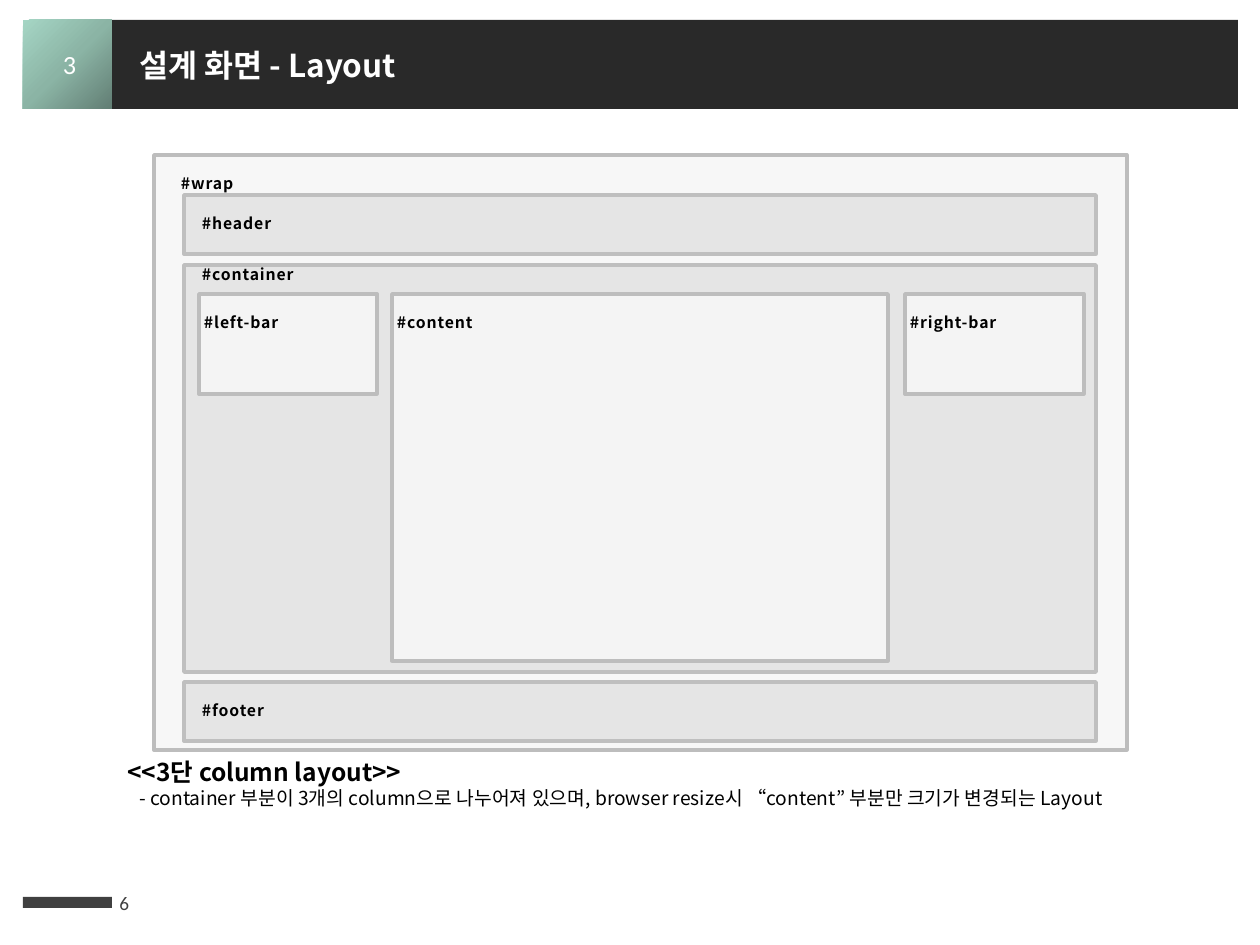
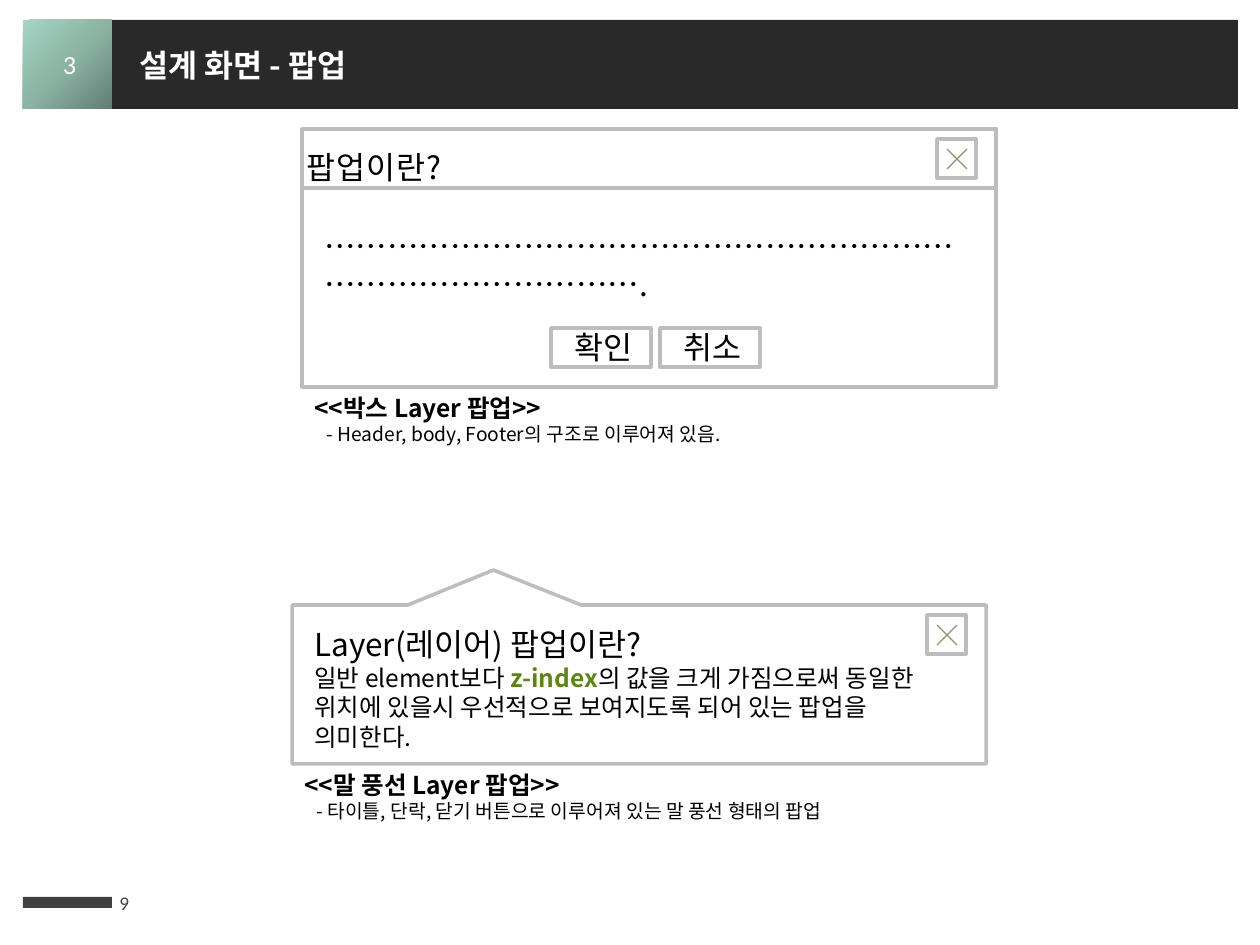
from dataclasses import dataclass

from lxml.etree import SubElement
from pptx import Presentation
from pptx.dml.color import RGBColor
from pptx.enum.shapes import MSO_CONNECTOR, MSO_SHAPE
from pptx.enum.text import MSO_ANCHOR, PP_ALIGN
from pptx.oxml import parse_xml
from pptx.oxml.ns import nsdecls, qn
from pptx.util import Emu, Pt

PX = 914400 / 126


@dataclass(frozen=True)
class Theme:
    white: str = "FFFFFF"
    black: str = "000000"
    band: str = "292929"
    dark: str = "404040"
    wrap: str = "F7F7F7"
    panel: str = "E5E5E5"
    border: str = "BDBDBD"
    panel_border: str = "BFBFBF"
    cross: str = "988E74"
    accent: str = "5A870F"
    badge: tuple = ((0, "627E74"), (50, "8BB4A5"), (100, "A5D5C4"))
    korean: str = "Noto Sans CJK KR"
    latin: str = "Calibri"
    title: int = 18
    section: int = 15
    heading: int = 14
    note: int = 11
    label: int = 9


theme = Theme()


def add_box(slide, rect, fill=None, border=None, opacity=None, preset=MSO_SHAPE.RECTANGLE):
    """Add a preset shape, or a text box when there is no fill."""
    place = [Emu(round(value * PX)) for value in rect]
    if fill is None:
        return slide.shapes.add_textbox(*place)
    box = slide.shapes.add_shape(preset, *place)
    box.shadow.inherit = False
    box.fill.solid()
    box.fill.fore_color.rgb = RGBColor.from_string(fill)
    if opacity:
        colour = box._element.spPr.find(qn("a:solidFill"))[0]
        SubElement(colour, qn("a:alpha"), val=str(opacity * 1000))
    if border:
        box.line.color.rgb = RGBColor.from_string(border)
        box.line.width = Pt(2)
    else:
        box.line.fill.background()
    return box


def write(box, paragraphs, margins=None, anchor=MSO_ANCHOR.TOP, align=PP_ALIGN.LEFT,
          line_spacing=None, tracking=0, indent=0):
    """Fill a box; indent applies to every paragraph after the first."""
    frame = box.text_frame
    frame_format = {"word_wrap": True, "vertical_anchor": anchor}
    if margins:
        sides = ("margin_left", "margin_top", "margin_right", "margin_bottom")
        frame_format.update(zip(sides, (Emu(round(value * PX)) for value in margins)))
    for name, value in frame_format.items():
        setattr(frame, name, value)
    for index, runs in enumerate(paragraphs):
        paragraph = frame.add_paragraph() if index else frame.paragraphs[0]
        for name, value in {"alignment": align, "line_spacing": line_spacing}.items():
            setattr(paragraph, name, value)
        if index and indent:
            paragraph._p.get_or_add_pPr().set("marL", str(round(indent * PX)))
        for text, size, *style in runs:
            bold, colour, typeface = style + [False, theme.black, theme.korean][len(style):]
            run = paragraph.add_run()
            run.text = text
            font_format = {"size": Pt(size), "bold": bold, "name": typeface}
            for name, value in font_format.items():
                setattr(run.font, name, value)
            run.font.color.rgb = RGBColor.from_string(colour)
            properties = run._r.get_or_add_rPr()
            SubElement(properties, qn("a:ea"), typeface=typeface)
            if tracking:
                properties.set("spc", str(tracking))


presentation = Presentation()
presentation.slide_width = Emu(round(1260 * PX))
presentation.slide_height = Emu(round(945 * PX))

# Shared bands, section badge, titles and page numbers
pages = []
for title, number in (("설계 화면 - Layout", "6"), ("설계 화면 - 팝업", "9")):
    page = presentation.slides.add_slide(presentation.slide_layouts[6])
    pages.append(page)
    add_box(page, (112, 20, 1126, 89), theme.band)
    badge = add_box(page, (23, 20, 89, 89), theme.white)
    stops = "".join(f'<a:gs pos="{position * 1000}"><a:srgbClr val="{colour}"/></a:gs>'
                    for position, colour in theme.badge)
    badge_properties = badge._element.spPr
    badge_properties.replace(badge_properties.find(qn("a:solidFill")), parse_xml(
        f'<a:gradFill {nsdecls("a")} rotWithShape="1"><a:gsLst>{stops}</a:gsLst>'
        '<a:path path="circle"><a:fillToRect l="100000" t="100000"/></a:path></a:gradFill>'))
    add_box(page, (23, 897, 89, 11), theme.dark)
    write(add_box(page, (107, 878, 74, 50)),
          [[(number, theme.note, False, theme.dark, theme.latin)]], anchor=MSO_ANCHOR.MIDDLE)
    write(add_box(page, (127, 40, 881, 50)), [[(title, theme.title, True, theme.white)]])
    write(add_box(page, (35, 42, 69, 44)),
          [[("3", theme.section, False, theme.white, theme.latin)]], align=PP_ALIGN.CENTER)

layout_page, popup_page = pages

# Nested page regions: label, place, fill, border, opacity, label offset
panel = (theme.panel, theme.panel_border, None)
column = (theme.white, theme.border, 60)
regions = (
    ("#wrap", (154, 155, 973, 595), (theme.wrap, theme.border, None), (27, 19)),
    ("#container", (184, 265, 912, 407), panel, (18, 0)),
    ("#header", (184, 195, 912, 59), panel, (18, 19)),
    ("#footer", (184, 682, 912, 59), panel, (18, 19)),
    ("#left-bar", (199, 294, 178, 100), column, (5, 19)),
    ("#content", (392, 294, 496, 367), column, (5, 19)),
    ("#right-bar", (905, 294, 179, 100), column, (5, 19)),
)
for label, rect, look, offset in regions:
    write(add_box(layout_page, rect, *look), [[(label, theme.label, True)]],
          margins=(*offset, 0, 0), tracking=50)

# Box popup: frame, header, body and buttons
add_box(popup_page, (302, 129, 694, 258), *column)
write(add_box(popup_page, (312, 221, 665, 89)), [[("…" * 30 + ".", theme.title)]])
write(add_box(popup_page, (302, 129, 694, 59), *column), [[("팝업이란?", theme.title)]],
      margins=(5, 0, 0, 0), line_spacing=1.5, tracking=50)
for index, answer in enumerate(("확인", "취소")):
    write(add_box(popup_page, (551 + 109 * index, 328, 100, 39), *column),
          [[(answer, theme.title)]], margins=(5, 0, 0, 0), align=PP_ALIGN.CENTER, tracking=50)

# Speech bubble popup
bubble = add_box(popup_page, (292, 605, 694, 159), theme.white, theme.border,
                 preset=MSO_SHAPE.RECTANGULAR_CALLOUT)
bubble.rotation = 180
bubble.adjustments[0], bubble.adjustments[1] = 0.21, 0.72
write(add_box(popup_page, (302, 619, 665, 140)), [
    [("Layer(레이어) 팝업이란?", theme.title)],
    [("일반 element보다 ", theme.heading),
     ("z-index", theme.heading, True, theme.accent),
     ("의 값을 크게 가짐으로써 동일한 위치에 있을시 우선적으로 보여지도록 되어 있는 팝업을 의미한다.",
      theme.heading)],
])

# Close buttons
for left, top in ((937, 139), (927, 615)):
    add_box(popup_page, (left, top, 39, 39), *column)
    for start, end in ((10, 30), (30, 10)):
        ends = (left + start, top + 10, left + end, top + 30)
        stroke = popup_page.shapes.add_connector(
            MSO_CONNECTOR.STRAIGHT, *(Emu(round(value * PX)) for value in ends))
        stroke.line.color.rgb = RGBColor.from_string(theme.cross)
        stroke.line.width = Pt(0.75)
        SubElement(stroke._element.spPr, qn("a:effectLst"))

# Captions under each figure
captions = (
    (layout_page, (115, 751, 1106, 66), "<<3단 column layout>>",
     "- container 부분이 3개의 column으로 나누어져 있으며, browser resize시 “content” 부분만 크기가 변경되는 Layout"),
    (popup_page, (302, 387, 625, 66), "<<박스 Layer 팝업>>",
     "- Header, body, Footer의 구조로 이루어져 있음."),
    (popup_page, (292, 764, 625, 66), "<<말 풍선 Layer 팝업>>",
     "- 타이틀, 단락, 닫기 버튼으로 이루어져 있는 말 풍선 형태의 팝업"),
)
for page, rect, heading, note in captions:
    write(add_box(page, rect), [[(heading, theme.heading, True)], [(note, theme.note)]], indent=12)

presentation.save("out.pptx")
